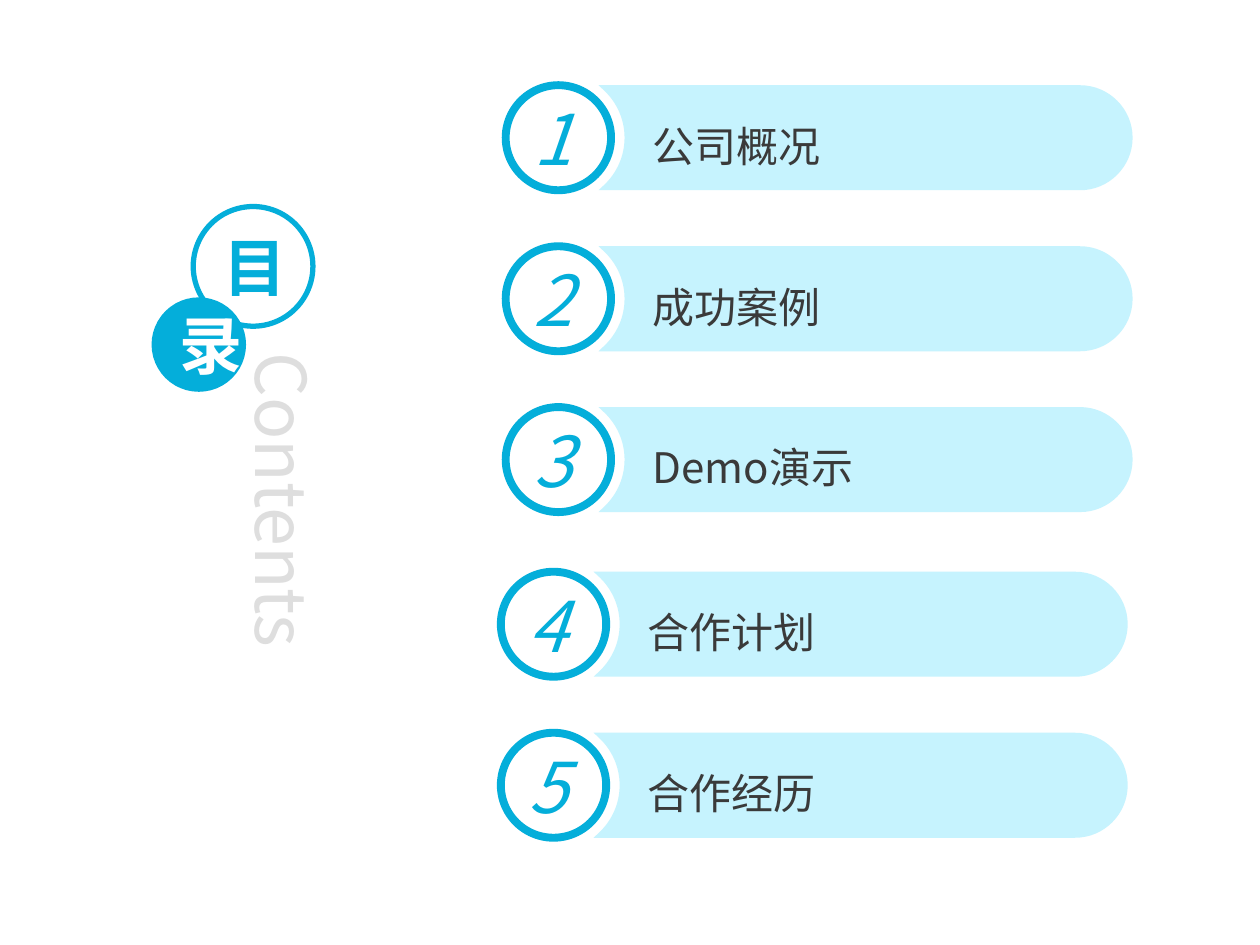
from lxml import etree
from pptx import Presentation
from pptx.dml.color import RGBColor
from pptx.enum import shapes, text
from pptx.oxml import ns
from pptx.util import Pt

BLUE = RGBColor(0x04, 0xAE, 0xDA)
PALE = RGBColor(0xC6, 0xF3, 0xFE)
DARK = RGBColor(0x3A, 0x3A, 0x3A)
GRAY = RGBColor(0xDE, 0xDE, 0xDE)
WHITE = RGBColor(0xFF, 0xFF, 0xFF)
FONT = "Noto Sans CJK SC"


def write(shape, words, size, color, bold=None, italic=None,
          align=None, anchor=text.MSO_ANCHOR.MIDDLE, space=None):
    frame = shape.text_frame
    frame.word_wrap = True
    frame.vertical_anchor = anchor
    para = frame.paragraphs[0]
    para.alignment = align
    para.line_spacing = space
    run = para.add_run()
    run.text = words
    font = run.font
    font.name, font.size, font.bold, font.italic = FONT, Pt(size), bold, italic
    font.color.rgb = color
    mark = etree.SubElement(run._r.get_or_add_rPr(), ns.qn("a:ea"))
    mark.set("typeface", FONT)
    return frame


def disc(left, top, wide, high, fill, line):
    shape = slide.shapes.add_shape(
        shapes.MSO_SHAPE.OVAL, Pt(left), Pt(top), Pt(wide), Pt(high))
    shape.shadow.inherit = False
    shape.fill.solid()
    shape.fill.fore_color.rgb = fill
    shape.line.color.rgb = BLUE
    shape.line.width = Pt(line)
    return shape


deck = Presentation()
deck.slide_width, deck.slide_height = Pt(720), Pt(540)
slide = deck.slides.add_slide(deck.slide_layouts[6])

WIDE, HIGH = 305.2, 60
CAP = HIGH / 2
BEND = CAP * 0.45
END = WIDE - CAP
NOTCH = 14.9
outline = [
    [(END, 0)],
    [(WIDE - BEND, 0), (WIDE, BEND), (WIDE, CAP)],
    [(WIDE, HIGH - BEND), (WIDE - BEND, HIGH), (END, HIGH)],
    [(0, HIGH)],
    [(3.6, 56.6)],
    [(10.6, 49.8), (NOTCH, 40.4), (NOTCH, CAP)],
    [(NOTCH, 19.6), (10.6, 10.2), (3.6, 3.4)],
]
items = [
    (342, 48.7, "公司概况"),
    (342, 140.7, "成功案例"),
    (342, 232.6, "Demo演示"),
    (339.2, 326.7, "合作计划"),
    (339.2, 418.7, "合作经历"),
]
for num, (left, top, label) in enumerate(items, 1):
    pen = slide.shapes.build_freeform(Pt(left), Pt(top))
    pen.add_line_segments(
        [(Pt(left + x), Pt(top + y)) for part in outline for x, y in part])
    bar = pen.convert_to_shape()
    lines = iter(list(bar._element.iter(ns.qn("a:lnTo"))))
    for part in outline:
        first, *rest = [next(lines) for _ in part]
        if rest:
            first.tag = ns.qn("a:cubicBezTo")
        for line in rest:
            first.append(line[0])
            line.getparent().remove(line)
    bar.shadow.inherit = False
    bar.fill.solid()
    bar.fill.fore_color.rgb = PALE
    bar.line.fill.background()
    frame = write(bar, label, 24, DARK, space=1.3)
    frame.margin_left = Pt(31)
    frame.margin_top = frame.margin_right = frame.margin_bottom = 0

    ring = disc(left - 53, top, 60.2, HIGH, WHITE, 4.5)
    write(ring, str(num), 40, BLUE, italic=True)

    if num == 3:
        side = slide.shapes.add_textbox(Pt(126.3), Pt(194.4), Pt(63.4), Pt(193.7))
        frame = write(side, "Contents", 40, GRAY, anchor=text.MSO_ANCHOR.TOP)
        frame.auto_size = text.MSO_AUTO_SIZE.SHAPE_TO_FIT_TEXT
        frame._txBody.bodyPr.set("vert", "eaVert")
        for x, y, size, fill, color, word in [
            (110.4, 118, 68.4, WHITE, BLUE, "目"),
            (88.1, 171.4, 51, BLUE, WHITE, "录"),
        ]:
            badge = disc(x, y, size, size, fill, 3)
            write(badge, word, 36, color, bold=True, align=text.PP_ALIGN.CENTER)

deck.save("out.pptx")
